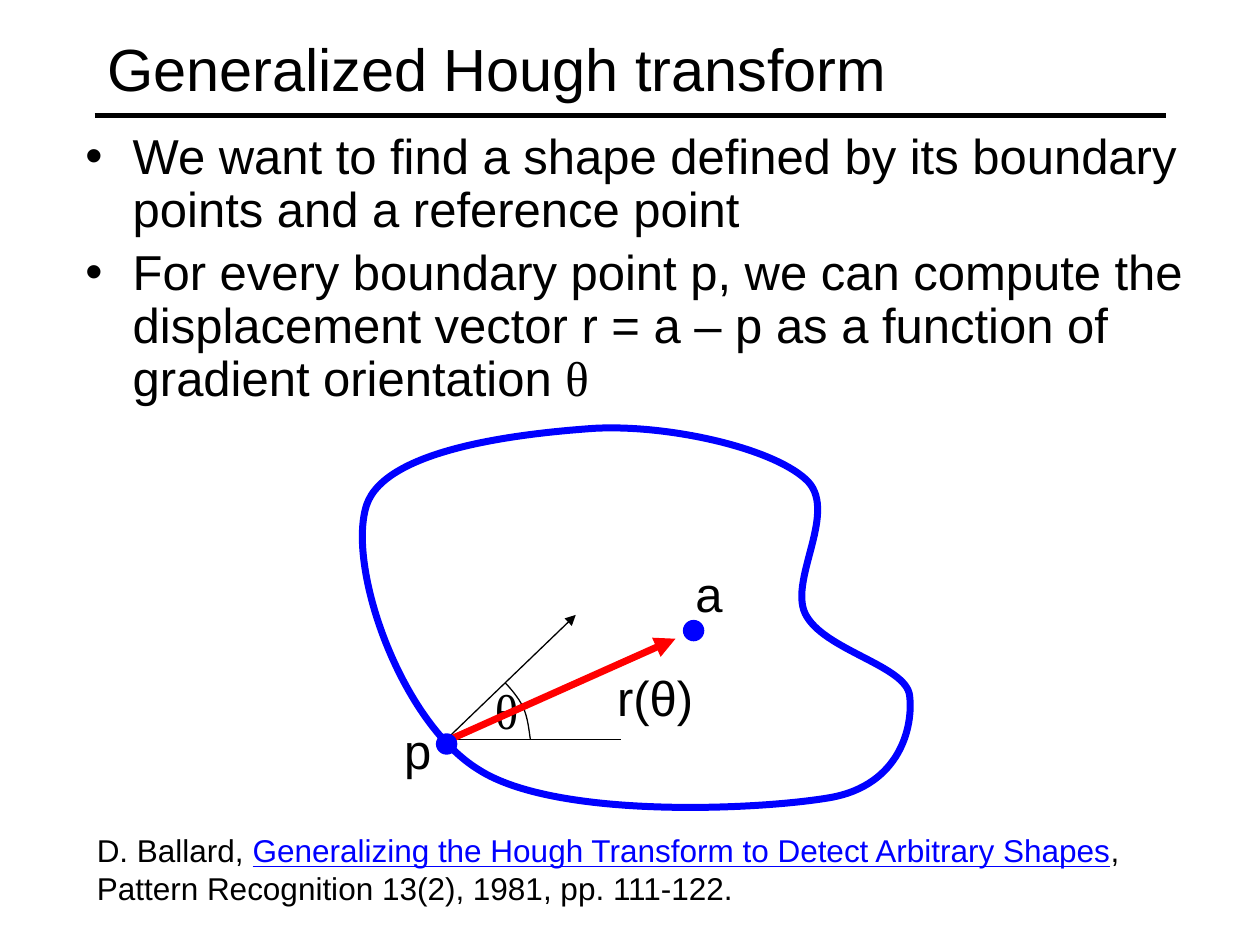
from dataclasses import dataclass

from lxml import etree
from pptx import Presentation
from pptx.dml.color import RGBColor
from pptx.enum import shapes, text
from pptx.oxml.ns import qn
from pptx.util import Pt

BLACK = RGBColor(0, 0, 0)
BLUE = RGBColor(0, 0, 255)
RED = RGBColor(255, 0, 0)
SANS, SERIF = "Arial", "Times New Roman"
DOT_SIZE = 12.24


@dataclass
class Label:
    words: str
    box: tuple[float, float, float, float]
    font: str = SANS


@dataclass
class Line:
    start: tuple[float, float]
    end: tuple[float, float]
    color: RGBColor = BLACK
    width: float = 0.75
    arrow: bool = False


@dataclass
class Curve:
    """Points are a start followed by Bézier triples: control, control, end."""
    points: list[tuple[float, float]]
    color: RGBColor
    width: float
    closed: bool


def add_run(p, words: str, size: float, font: str = SANS, color=BLACK, underline=None):
    r = p.add_run()
    r.text = words
    r.font.color.rgb = color
    for name, value in dict(name=font, size=Pt(size), underline=underline).items():
        setattr(r.font, name, value)


def add_box(s, box):
    tf = s.shapes.add_textbox(*map(Pt, box)).text_frame
    tf.word_wrap = True
    return tf


def add_label(s, label: Label):
    add_run(add_box(s, label.box).paragraphs[0], label.words, 28, label.font)


def add_line(s, line: Line):
    sp = s.shapes.add_connector(shapes.MSO_CONNECTOR.STRAIGHT,
                                *map(Pt, line.start + line.end))
    sp.line.color.rgb = line.color
    sp.line.width = Pt(line.width)
    if line.arrow:
        etree.SubElement(sp.line._get_or_add_ln(), qn("a:tailEnd"), type="triangle")
    etree.SubElement(sp._element.spPr, qn("a:effectLst"))


def add_curve(s, curve: Curve):
    start, *rest = [(Pt(x), Pt(y)) for x, y in curve.points]
    builder = s.shapes.build_freeform(*start)
    builder.add_line_segments(rest, close=curve.closed)
    sp = builder.convert_to_shape()
    # Merge each three straight segments into one Bézier segment
    segments = list(sp._element.iter(qn("a:lnTo")))[:len(rest)]
    for i in range(0, len(segments), 3):
        bezier = etree.Element(qn("a:cubicBezTo"))
        segments[i].addprevious(bezier)
        for segment in segments[i:i + 3]:
            bezier.append(segment[0])
            segment.getparent().remove(segment)
    sp.fill.background()
    sp.line.color.rgb = curve.color
    sp.line.width = Pt(curve.width)
    sp.shadow.inherit = False


def add_dot(s, x: float, y: float):
    sp = s.shapes.add_shape(shapes.MSO_SHAPE.OVAL,
                            *map(Pt, (x, y, DOT_SIZE, DOT_SIZE)))
    sp.fill.solid()
    sp.fill.fore_color.rgb = BLUE
    sp.line.fill.background()
    sp.shadow.inherit = False


def add_title(s, words: str):
    sp = s.shapes.title
    box = dict(left=54, top=5.76, width=612, height=66.24)
    for name, value in box.items():
        setattr(sp, name, Pt(value))
    tf = sp.text_frame
    tf.vertical_anchor = text.MSO_ANCHOR.MIDDLE
    p = tf.paragraphs[0]
    p.alignment = text.PP_ALIGN.LEFT
    add_run(p, words, 34)


def add_bullets(s, box, bullets):
    tf = add_box(s, box)
    for i, runs in enumerate(bullets):
        p = tf.add_paragraph() if i else tf.paragraphs[0]
        pPr = p._p.get_or_add_pPr()
        pPr.set("marL", str(Pt(27)))
        pPr.set("indent", str(-Pt(27)))
        etree.SubElement(pPr, qn("a:buFont"), typeface=SANS)
        etree.SubElement(pPr, qn("a:buChar"), char="•")
        p.line_spacing = 0.9
        p.space_before = Pt(5.6 if i else 0)
        for words, font in runs:
            add_run(p, words, 28, font)


BULLETS = [
    [("We want to find a shape defined by its boundary points and a reference point", SANS)],
    [("For every boundary point p, we can compute the displacement vector "
      "r = a – p as a function of gradient orientation ", SANS), ("θ", SERIF)],
]
ANGLE_ARC = Curve([(288.7, 390.2), (290.9, 392.4), (296.6, 398.9), (298.8, 403.9),
                   (301.7, 409.7), (302.4, 418.3), (303.1, 422.6)], BLACK, 0.75, False)
BOUNDARY = Curve([(209.5, 288.7), (220.3, 256.3), (298.1, 247.7), (339.8, 244.8),
                  (381.6, 242.6), (439.9, 255.6), (460.1, 273.6),
                  (480.2, 290.9), (450.7, 330.5), (460.1, 350.6),
                  (470.2, 371.5), (517.7, 380.2), (519.8, 397.4),
                  (522, 414.7), (514.8, 448.6), (474.5, 455.8),
                  (432.7, 463), (317.5, 468), (273.6, 439.9),
                  (229, 412.6), (198, 324), (209.5, 288.7)], BLUE, 4, True)


def main():
    prs = Presentation()
    prs.slide_width, prs.slide_height = Pt(720), Pt(540)
    s = prs.slides.add_slide(prs.slide_layouts[5])

    add_line(s, Line((54, 66), (666, 66), width=3))
    add_title(s, "Generalized Hough transform")
    add_bullets(s, (41.76, 72, 642.24, 167.76), BULLETS)

    p = add_box(s, (48.24, 471.6, 635.76, 50.4)).paragraphs[0]
    add_run(p, "D. Ballard, ", 18)
    add_run(p, "Generalizing the Hough Transform to Detect Arbitrary Shapes", 18,
            color=BLUE, underline=True)
    add_run(p, ", Pattern Recognition 13(2), 1981, pp. 111-122.", 18)

    add_label(s, Label("p", (223.92, 408.24, 33.84, 41.04)))
    add_label(s, Label("a", (390.24, 318.24, 33.84, 41.04)))
    add_line(s, Line((257, 422.6), (355, 422.6)))
    add_line(s, Line((255.6, 422), (329, 351.4), arrow=True))
    add_curve(s, ANGLE_ARC)
    add_label(s, Label("θ", (275.76, 385.2, 28.08, 41.04), SERIF))
    add_curve(s, BOUNDARY)
    add_label(s, Label("r(θ)", (345.6, 378, 61.92, 41.04)))
    add_line(s, Line((257, 422.6), (386, 365), RED, 4, arrow=True))
    add_dot(s, 390.24, 354.24)
    add_dot(s, 249.12, 419.04)

    prs.save("out.pptx")


if __name__ == "__main__":
    main()
